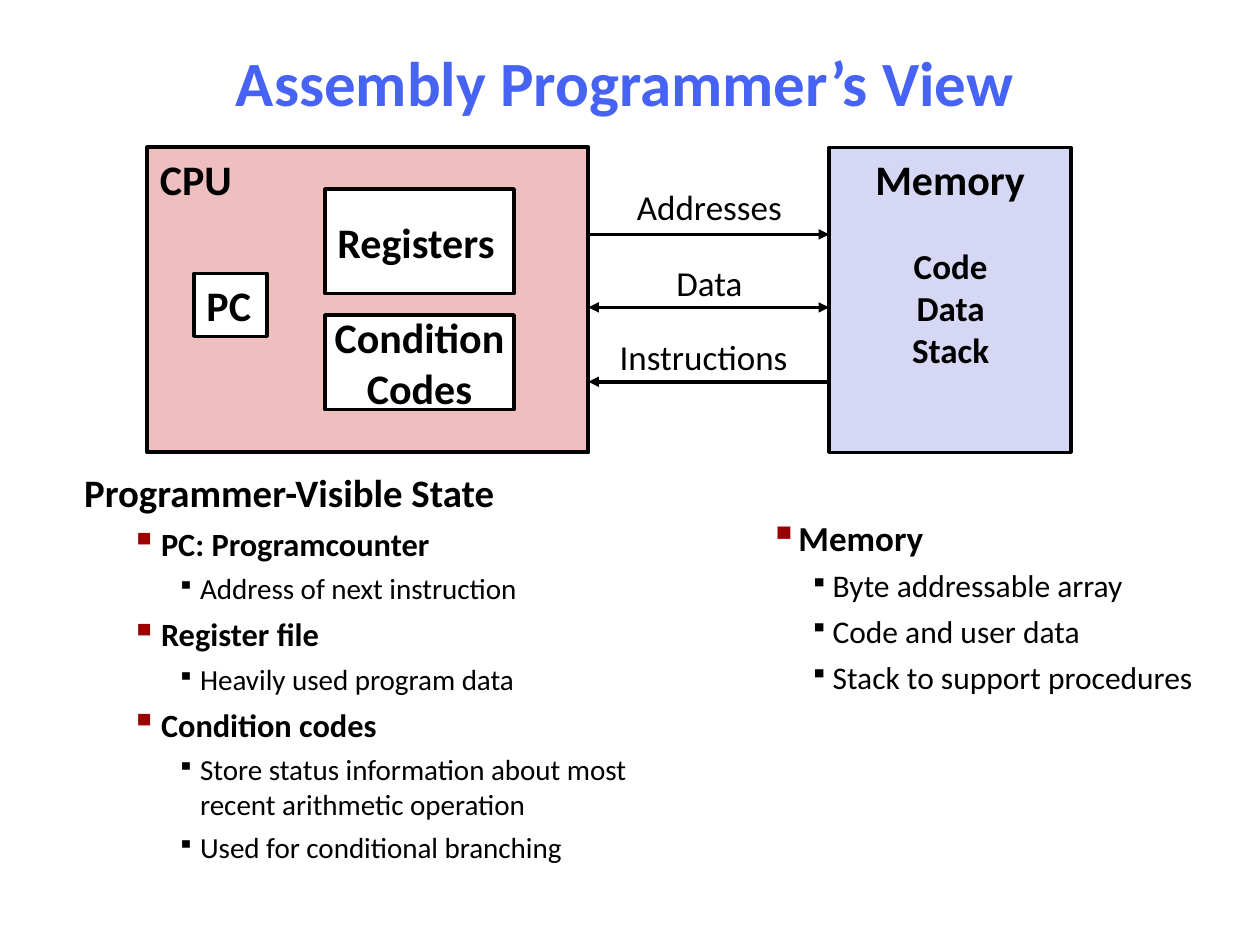
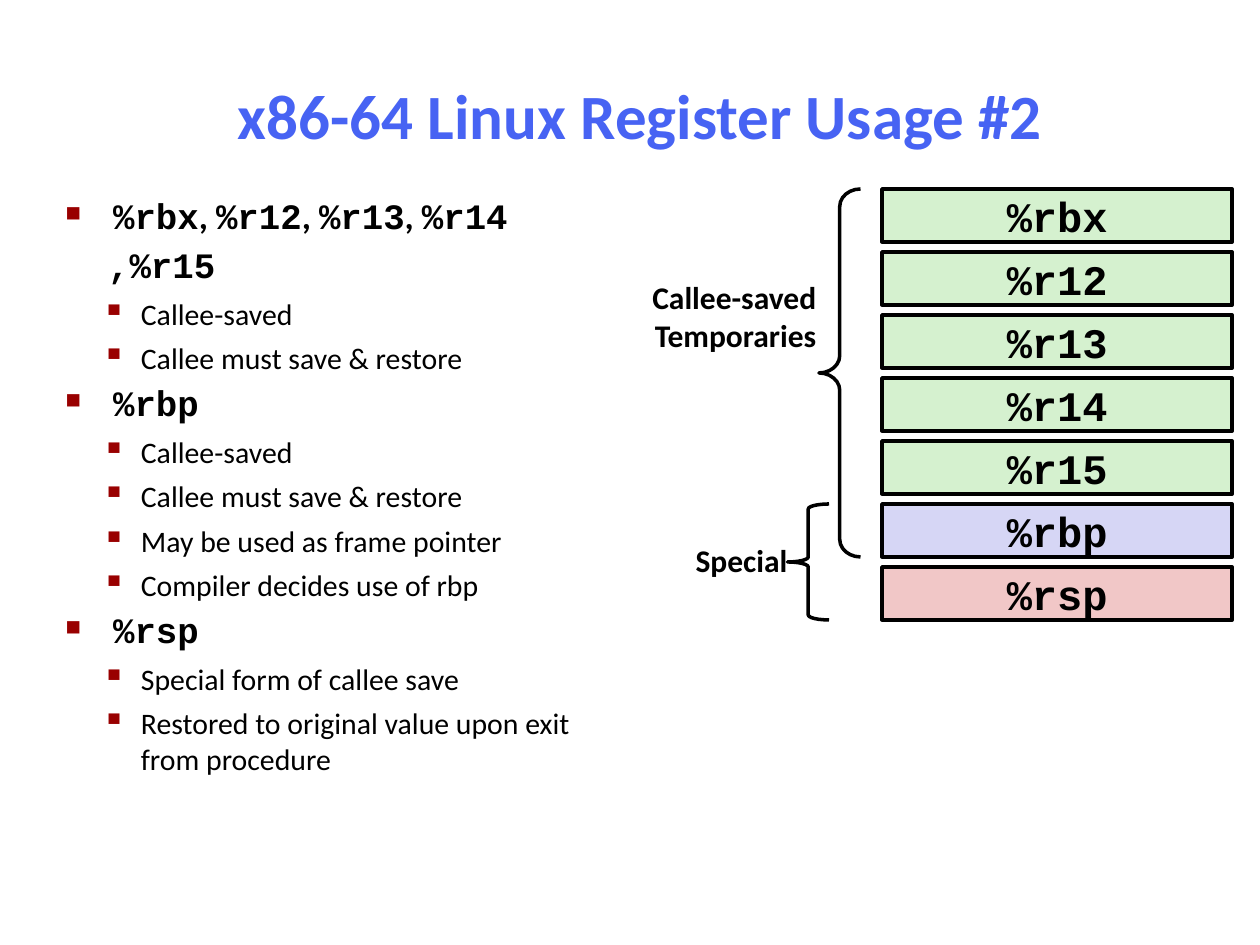
"""Build two slides on the assembly programmer's view and x86-64 register usage."""
from dataclasses import dataclass, replace
from typing import NamedTuple, Optional

from lxml import etree
from pptx import Presentation
from pptx.dml.color import RGBColor
from pptx.enum import shapes, text
from pptx.oxml import ns
from pptx.util import Inches, Pt

LEFT, CENTER, RIGHT = text.PP_ALIGN.LEFT, text.PP_ALIGN.CENTER, text.PP_ALIGN.RIGHT
TOP, MIDDLE = text.MSO_ANCHOR.TOP, text.MSO_ANCHOR.MIDDLE


@dataclass(frozen=True)
class Theme:
    """Colours, fonts and sizes shared by the slides."""
    title: str = "4763F3"
    ink: str = "000000"
    bullet: str = "990000"
    white: str = "FFFFFF"
    cpu: str = "EFBFBF"
    lilac: str = "D6D6F5"
    green: str = "D5F1CF"
    pink: str = "F1C7C7"
    body_font: str = "Calibri"
    code_font: str = "Courier New"
    title_size: float = 36
    box_size: float = 24
    label_size: float = 20
    brace_size: float = 18
    line: float = 2
    cpu_line: float = 2.25


T = Theme()


class Box(NamedTuple):
    """Left, top, width and height in inches."""
    x: float
    y: float
    w: float
    h: float


class Bullet(NamedTuple):
    """Bullet sign, colour and size in percent."""
    char: str
    color: str
    size: int


@dataclass(frozen=True)
class Level:
    """Paragraph format of one list level."""
    size: float
    bold: bool = False
    margin: float = 0
    hang: float = 0
    before: float = 0
    bullet: Optional[Bullet] = None
    font: str = T.body_font
    spacing: Optional[float] = None


class Block(NamedTuple):
    """Filled rectangle with its caption."""
    box: Box
    caption: str
    fill: str
    align: text.PP_ALIGN = LEFT
    anchor: text.MSO_ANCHOR = MIDDLE
    line: float = T.line


class Bus(NamedTuple):
    """Labelled link between CPU and memory."""
    label: str
    label_box: Box
    y: float
    to_cpu: bool
    to_memory: bool


class Brace(NamedTuple):
    """Left brace with its bend and right-aligned label."""
    box: Box
    bend: float
    label: str
    label_box: Box


RED_MARK = Bullet("▪", T.bullet, 110)
SMALL_MARK = Bullet("▪", T.ink, 80)
HEADING = Level(22.2, True)
TOPIC = Level(18.5, True, 0.61, 0.24, 5, RED_MARK)
DETAIL = Level(16.6, False, 0.92, 0.18, 4.5, SMALL_MARK)
SIDE_TOPIC = replace(TOPIC, size=20, margin=0.32, hang=0.19)
SIDE_DETAIL = replace(DETAIL, size=18, margin=0.63)
REGISTER = Level(20.4, True, 0.38, 0.38, 6, Bullet("■", T.bullet, 60), T.code_font, 0.9)
REGISTER_MORE = replace(REGISTER, margin=0.34, hang=0, bullet=None)
RULE = Level(17, False, 0.6, 0.31, 5, RED_MARK)

STATE = [
    (HEADING, "Programmer-Visible State"),
    (TOPIC, "PC: Programcounter"),
    (DETAIL, "Address of next instruction"),
    (TOPIC, "Register file"),
    (DETAIL, "Heavily used program data"),
    (TOPIC, "Condition codes"),
    (DETAIL, "Store status information about most recent arithmetic operation"),
    (DETAIL, "Used for conditional branching"),
]
MEMORY = [
    (SIDE_TOPIC, "Memory"),
    (SIDE_DETAIL, "Byte addressable array"),
    (SIDE_DETAIL, "Code and user data"),
    (SIDE_DETAIL, "Stack to support procedures"),
]
USAGE = [
    (REGISTER, "%rbx, %r12, %r13, %r14"),
    (REGISTER_MORE, ",%r15"),
    (RULE, "Callee-saved"),
    (RULE, "Callee must save & restore"),
    (REGISTER, "%rbp"),
    (RULE, "Callee-saved"),
    (RULE, "Callee must save & restore"),
    (RULE, "May be used as frame pointer"),
    (RULE, "Compiler decides use of rbp"),
    (REGISTER, "%rsp"),
    (RULE, "Special form of callee save"),
    (RULE, "Restored to original value upon exit from procedure"),
]

CPU_RIGHT, MEMORY_LEFT = 4.67, 6.58
BLOCKS = [
    Block(Box(1.17, 1.17, 3.5, 2.42), "CPU", T.cpu, anchor=TOP, line=T.cpu_line),
    Block(Box(1.54, 2.17, 0.58, 0.5), "PC", T.white),
    Block(Box(2.58, 1.5, 1.5, 0.83), "Registers", T.white),
    Block(Box(2.58, 2.5, 1.5, 0.75), "Condition\nCodes", T.white, CENTER),
    Block(Box(MEMORY_LEFT, 1.17, 1.92, 2.42), "Memory", T.lilac, CENTER, TOP),
]
BUSES = [
    Bus("Addresses", Box(CPU_RIGHT, 1.42, 1.92, 0.43), 1.86, False, True),
    Bus("Data", Box(CPU_RIGHT, 2.03, 1.92, 0.43), 2.44, True, True),
    Bus("Instructions", Box(CPU_RIGHT, 2.61, 1.83, 0.43), 3.03, True, False),
]
REGISTERS = [(name, T.green) for name in ("%rbx", "%r12", "%r13", "%r14", "%r15")]
REGISTERS += [("%rbp", T.lilac), ("%rsp", T.pink)]
BRACES = [
    Brace(Box(6.5, 1.5, 0.33, 2.92), 0.42, "Callee-saved\nTemporaries", Box(4.86, 2.17, 1.66, 0.68)),
    Brace(Box(6.25, 4, 0.33, 0.92), 0.12, "Special", Box(5.33, 4.25, 0.96, 0.38)),
]


def rgb(color: str) -> RGBColor:
    """Turn a hex string into a colour."""
    return RGBColor.from_string(color)


def place(box: Box) -> list:
    """Turn a box into lengths."""
    return [Inches(v) for v in box]


def sub(parent, tag: str, **attrs: str):
    """Append a drawing element to its parent."""
    return etree.SubElement(parent, ns.qn(tag), **attrs)


def add_run(p, words: str, *, size: float, bold: bool = False,
            font: str = T.body_font, color: str = T.ink) -> None:
    """Add one formatted run of text."""
    r = p.add_run()
    r.text = words
    r.font.name, r.font.size, r.font.bold = font, Pt(size), bold
    r.font.color.rgb = rgb(color)


def write(tf, words: str, *, align=CENTER, anchor=TOP, wrap: bool = True,
          inset: Optional[float] = None, **fmt) -> None:
    """Fill a text frame with one paragraph per line of words."""
    tf.word_wrap, tf.vertical_anchor = wrap, anchor
    if inset is not None:
        tf.margin_left = tf.margin_right = tf.margin_top = tf.margin_bottom = Inches(inset)
    for i, line in enumerate(words.split("\n")):
        p = tf.add_paragraph() if i else tf.paragraphs[0]
        p.alignment = align
        add_run(p, line, **fmt)


def add_label(s, box: Box, words: str, **fmt) -> None:
    """Add a text box."""
    write(s.shapes.add_textbox(*place(box)).text_frame, words, **fmt)


def add_title(s, box: Box, words: str) -> None:
    """Add the slide title."""
    add_label(s, box, words, anchor=MIDDLE, size=T.title_size, bold=True, color=T.title)


def add_list(s, box: Box, items: list) -> None:
    """Add a list whose code lines have commas in the body font."""
    tf = s.shapes.add_textbox(*place(box)).text_frame
    tf.word_wrap = True
    for i, (level, words) in enumerate(items):
        p = tf.add_paragraph() if i else tf.paragraphs[0]
        pPr = p._p.get_or_add_pPr()
        pPr.set("marL", str(Inches(level.margin)))
        pPr.set("indent", str(-Inches(level.hang)))
        if level.bullet:
            sub(sub(pPr, "a:buClr"), "a:srgbClr", val=level.bullet.color)
            sub(pPr, "a:buSzPct", val=str(level.bullet.size * 1000))
            sub(pPr, "a:buChar", char=level.bullet.char)
        p.space_before = Pt(level.before if i else 0)
        if level.spacing:
            p.line_spacing = level.spacing
        for j, part in enumerate(words.split(", ")):
            if j:
                add_run(p, ", ", size=level.size, bold=level.bold)
            add_run(p, part, size=level.size, bold=level.bold, font=level.font)


def add_outline(s, kind, box: Box, fill: Optional[str] = None, line: float = T.line):
    """Add a black-lined preset shape."""
    sp = s.shapes.add_shape(kind, *place(box))
    sp.shadow.inherit = False
    if fill:
        sp.fill.solid()
        sp.fill.fore_color.rgb = rgb(fill)
    else:
        sp.fill.background()
    sp.line.color.rgb, sp.line.width = rgb(T.ink), Pt(line)
    return sp


def add_block(s, block: Block, **fmt) -> None:
    """Add a captioned rectangle."""
    sp = add_outline(s, shapes.MSO_SHAPE.RECTANGLE, block.box, block.fill, block.line)
    write(sp.text_frame, block.caption, align=block.align, anchor=block.anchor,
          size=T.box_size, bold=True, **fmt)


def add_bus(s, bus: Bus) -> None:
    """Add a labelled arrow between CPU and memory."""
    y = Inches(bus.y)
    cxn = s.shapes.add_connector(shapes.MSO_CONNECTOR.STRAIGHT,
                                 Inches(CPU_RIGHT), y, Inches(MEMORY_LEFT), y)
    cxn.line.color.rgb, cxn.line.width = rgb(T.ink), Pt(T.line)
    ln = cxn.line._get_or_add_ln()
    for tag, pointed in (("a:headEnd", bus.to_cpu), ("a:tailEnd", bus.to_memory)):
        if pointed:
            sub(ln, tag, type="triangle")
    sub(cxn._element.spPr, "a:effectLst")
    add_label(s, bus.label_box, bus.label, size=T.label_size)


def build_programmer_view(s) -> None:
    """Draw the CPU and memory diagram with its notes."""
    add_title(s, Box(1.01, 0.33, 7.9, 0.63), "Assembly Programmer’s View")
    for block in BLOCKS:
        add_block(s, block, wrap=False)
    add_label(s, Box(6.92, 1.89, 1.25, 1.1), "Code\nData\nStack", size=T.label_size, bold=True)
    for bus in BUSES:
        add_bus(s, bus)
    add_list(s, Box(0.57, 3.67, 4.77, 3.38), STATE)
    add_list(s, Box(5.88, 4.05, 3.96, 1.72), MEMORY)


def build_register_usage(s) -> None:
    """Draw the register column with its braces and rules."""
    add_title(s, Box(1.58, 0.28, 7, 1.25), "x86-64 Linux Register Usage #2")
    add_list(s, Box(0.42, 1.53, 4.44, 4.81), USAGE)
    for i, (name, fill) in enumerate(REGISTERS):
        block = Block(Box(7, 1.5 + 0.5 * i, 2.78, 0.42), name, fill, CENTER)
        add_block(s, block, inset=0, font=T.code_font)
    for brace in BRACES:
        sp = add_outline(s, shapes.MSO_SHAPE.LEFT_BRACE, brace.box)
        sp.adjustments[0] = brace.bend
        add_label(s, brace.label_box, brace.label, align=RIGHT, inset=0.04,
                  size=T.brace_size, bold=True)


def main() -> None:
    """Build and save the presentation."""
    prs = Presentation()
    prs.slide_width, prs.slide_height = Inches(10), Inches(7.5)
    for build in (build_programmer_view, build_register_usage):
        build(prs.slides.add_slide(prs.slide_layouts[6]))
    prs.save("out.pptx")


if __name__ == "__main__":
    main()
